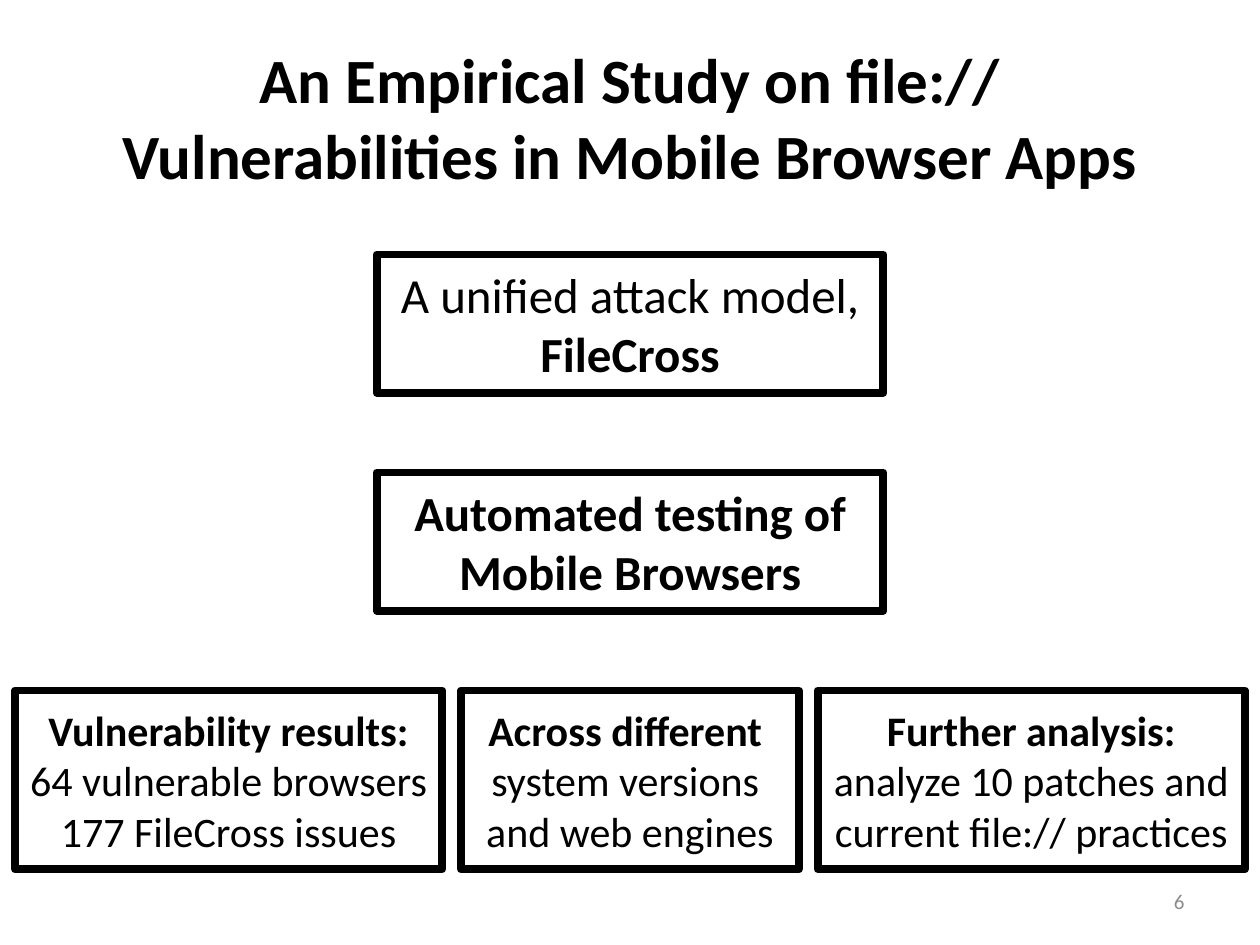
"""Build the study overview slide with its model, testing and findings boxes."""
from pptx import Presentation
from pptx.dml.color import RGBColor
from pptx.enum.shapes import MSO_SHAPE
from pptx.enum.text import MSO_ANCHOR, PP_ALIGN
from pptx.util import Inches, Pt

FONT = "Calibri"
COLORS = {"ink": "000000", "paper": "FFFFFF", "number": "8C8C8C"}

TITLE = [("An Empirical Study on file:// Vulnerabilities in Mobile Browser Apps", True)]
PAGE_NUMBER = [("6", False)]
STEPS = [
    [("A unified attack model,", False), ("FileCross", True)],
    [("Automated testing of Mobile Browsers", True)],
]
FINDINGS = [
    (3.39, 0.04, [("Vulnerability results:", True), ("64 vulnerable browsers", False),
                  ("177 FileCross issues", False)]),
    (2.68, 0.04, [("Across different ", True), ("system versions ", False),
                  ("and web engines", False)]),
    (3.39, 0, [("Further analysis:", True),
               ("analyze 10 patches and current file:// practices", False)]),
]

SLIDE_WIDTH = 10
STEP_WIDTH, STEP_HEIGHT = 4.02, 1.1
STEP_TOP, ROW_PITCH = 2.02, 1.73
FINDING_HEIGHT, FINDING_GAP = 1.42, 0.15


def color(name):
    return RGBColor.from_string(COLORS[name])


def write(shape, lines, size, ink="ink", align=PP_ALIGN.CENTER):
    frame = shape.text_frame
    frame.word_wrap = True
    frame.vertical_anchor = MSO_ANCHOR.MIDDLE
    for index, (text, bold) in enumerate(lines):
        paragraph = frame.add_paragraph() if index else frame.paragraphs[0]
        paragraph.alignment = align
        run = paragraph.add_run()
        run.text = text
        run.font.name = FONT
        run.font.size = Pt(size)
        run.font.bold = bold
        run.font.color.rgb = color(ink)


def add_text(slide, bounds, lines, size, **style):
    write(slide.shapes.add_textbox(*map(Inches, bounds)), lines, size, **style)


def add_box(slide, bounds, lines, size, side_margin=0.04):
    shape = slide.shapes.add_shape(MSO_SHAPE.RECTANGLE, *map(Inches, bounds))
    shape.shadow.inherit = False
    shape.fill.solid()
    shape.fill.fore_color.rgb = color("paper")
    shape.line.color.rgb = color("ink")
    shape.line.width = Pt(4.5)
    frame = shape.text_frame
    frame.margin_left = frame.margin_right = Inches(side_margin)
    frame.margin_top = frame.margin_bottom = Inches(0.04)
    write(shape, lines, size)


def main():
    presentation = Presentation()
    presentation.slide_width = Inches(SLIDE_WIDTH)
    presentation.slide_height = Inches(7.5)
    slide = presentation.slides.add_slide(presentation.slide_layouts[6])

    add_text(slide, (0.5, 0.3, 9, 1.25), TITLE, 36)
    add_text(slide, (7.17, 6.95, 2.33, 0.4), PAGE_NUMBER, 12,
             ink="number", align=PP_ALIGN.RIGHT)

    step_left = (SLIDE_WIDTH - STEP_WIDTH) / 2
    for row, lines in enumerate(STEPS):
        top = STEP_TOP + row * ROW_PITCH
        add_box(slide, (step_left, top, STEP_WIDTH, STEP_HEIGHT), lines, 28)

    top = STEP_TOP + len(STEPS) * ROW_PITCH
    total = sum(width for width, _, _ in FINDINGS) + FINDING_GAP * (len(FINDINGS) - 1)
    left = (SLIDE_WIDTH - total) / 2
    for width, side_margin, lines in FINDINGS:
        add_box(slide, (left, top, width, FINDING_HEIGHT), lines, 24, side_margin)
        left += width + FINDING_GAP

    presentation.save("out.pptx")


if __name__ == "__main__":
    main()
